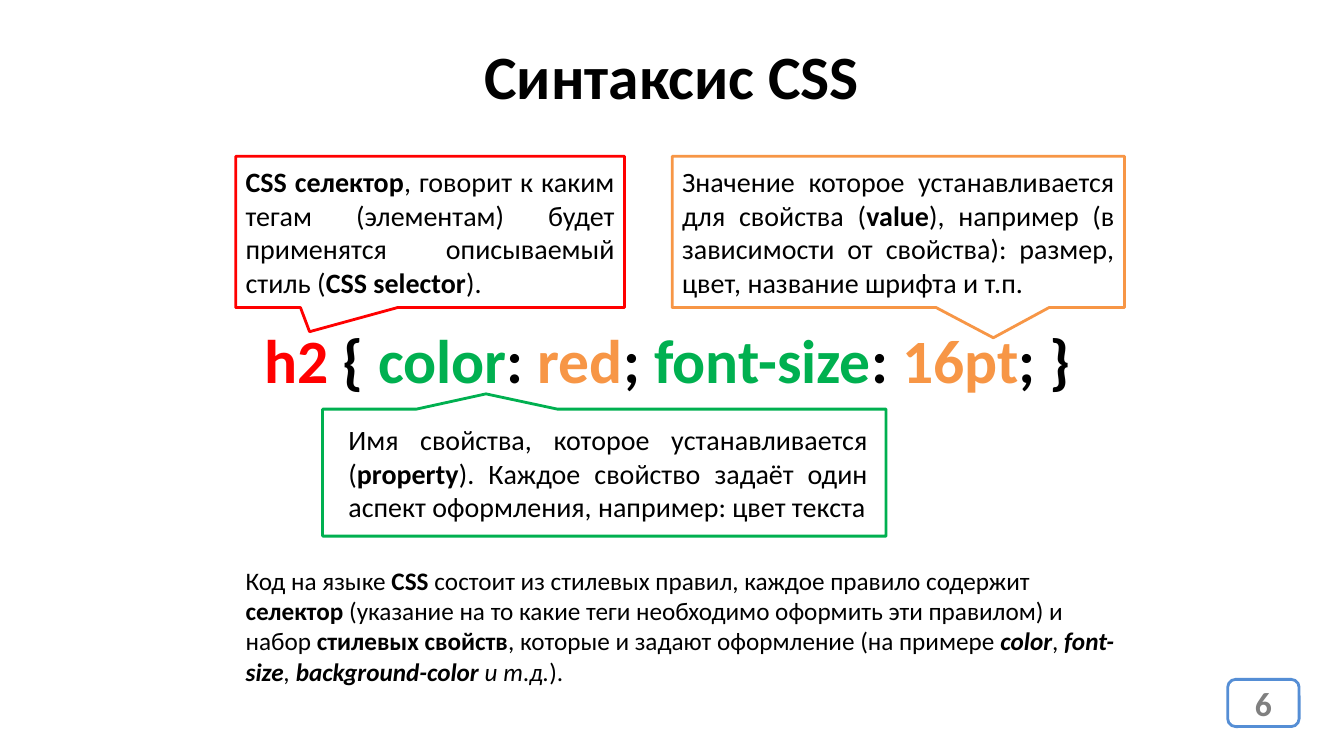
import pptx
import pptx.dml.color
import pptx.enum.shapes
import pptx.enum.text
import pptx.util

Cm = pptx.util.Cm
SHAPE = pptx.enum.shapes.MSO_SHAPE
ALIGN = pptx.enum.text.PP_ALIGN
ANCHOR = pptx.enum.text.MSO_ANCHOR
AUTO = pptx.enum.text.MSO_AUTO_SIZE

COLORS = {
    "text": "000000",
    "selector": "FF0000",
    "property": "00B050",
    "value": "F79646",
    "frame": "558ED5",
    "number": "808080",
    "paper": "FFFFFF",
}


class Deck:
    font = "Calibri"
    line_width = 2

    def __init__(self, width, height):
        self.prs = pptx.Presentation()
        self.prs.slide_width, self.prs.slide_height = Cm(width), Cm(height)
        self.s = None

    def color(self, name):
        return pptx.dml.color.RGBColor.from_string(COLORS[name])

    def add_slide(self):
        self.s = self.prs.slides.add_slide(self.prs.slide_layouts[5])

    def fill_text(self, sp, runs, size, align, anchor=ANCHOR.TOP, wrap=True, auto=AUTO.NONE):
        tf = sp.text_frame
        tf.word_wrap, tf.auto_size, tf.vertical_anchor = wrap, auto, anchor
        p = tf.paragraphs[0]
        p.alignment = align
        for text, style, color in runs:
            r = p.add_run()
            r.text = text
            r.font.name, r.font.size = self.font, pptx.util.Pt(size)
            r.font.bold, r.font.italic = "b" in style, "i" in style
            r.font.color.rgb = self.color(color)

    def title(self, box, text, size):
        sp = self.s.shapes.title
        sp.left, sp.top, sp.width, sp.height = map(Cm, box)
        self.fill_text(sp, [(text, "b", "text")], size, ALIGN.CENTER, auto=AUTO.SHAPE_TO_FIT_TEXT)

    def text(self, box, runs, size, align, wrap=True):
        sp = self.s.shapes.add_textbox(*map(Cm, box))
        self.fill_text(sp, runs, size, align, wrap=wrap, auto=AUTO.SHAPE_TO_FIT_TEXT)

    def shape(self, kind, box, line, fill=None):
        sp = self.s.shapes.add_shape(kind, *map(Cm, box))
        sp.shadow.inherit = False
        if fill:
            sp.fill.solid()
            sp.fill.fore_color.rgb = self.color(fill)
        else:
            sp.fill.background()
        sp.line.color.rgb = self.color(line)
        sp.line.width = pptx.util.Pt(self.line_width)
        return sp

    def callout(self, box, line, tip, runs=()):
        sp = self.shape(SHAPE.RECTANGULAR_CALLOUT, box, line)
        sp.adjustments[0], sp.adjustments[1] = tip
        if runs:
            self.fill_text(sp, runs, 20, ALIGN.JUSTIFY, ANCHOR.MIDDLE)

    def number(self, box, text):
        sp = self.shape(SHAPE.ROUNDED_RECTANGLE, box, "frame", "paper")
        self.fill_text(sp, [(text, "b", "number")], 24, ALIGN.CENTER, ANCHOR.MIDDLE)


def plain(*runs):
    return [(text, style, "text") for text, style in runs]


def main():
    deck = Deck(33.87, 19.05)
    deck.add_slide()
    deck.title((0, 0.84, 33.87, 2.13), "Синтаксис CSS", 44)
    deck.number((30.94, 17.12, 1.8, 1.19), "6")

    rule = [
        ("h2", "selector"), (" { ", "text"),
        ("color", "property"), (": ", "text"), ("red", "value"), ("; ", "text"),
        ("font-size", "property"), (": ", "text"), ("16pt", "value"), ("; }", "text"),
    ]
    deck.text((6.3, 7.98, 21.06, 2.13), [(text, "b", color) for text, color in rule],
              44, ALIGN.CENTER, wrap=False)

    deck.callout((5.94, 3.94, 9.8, 3.81), "selector", (-0.31, 0.66), plain(
        ("CSS селектор", "b"),
        (", говорит к каким тегам (элементам) будет применятся описываемый стиль (", ""),
        ("CSS selector", "b"),
        (").", ""),
    ))
    deck.callout((8.13, 10.31, 14.2, 3.2), "property", (-0.21, -0.62))
    deck.text((8.53, 10.52, 13.59, 2.82), plain(
        ("Имя свойства, которое устанавливается (", ""),
        ("property", "b"),
        ("). Каждое свойство задаёт один аспект оформления, например: цвет текста", ""),
    ), 20, ALIGN.JUSTIFY)
    deck.callout((16.94, 3.94, 11.4, 3.81), "value", (0.21, 0.7), plain(
        ("Значение которое устанавливается для свойства (", ""),
        ("value", "b"),
        ("), например (в зависимости от свойства): размер, цвет, название шрифта и т.п.", ""),
    ))

    deck.text((5.94, 14.12, 22.4, 3.33), plain(
        ("Код на языке ", ""),
        ("CSS ", "b"),
        ("состоит из стилевых правил, каждое правило содержит ", ""),
        ("селектор", "b"),
        (" (указание на то какие теги необходимо оформить эти правилом) и набор ", ""),
        ("стилевых свойств", "b"),
        (", которые и задают оформление (на примере ", ""),
        ("color", "bi"),
        (", ", ""),
        ("font-size", "bi"),
        (", ", "i"),
        ("background-color ", "bi"),
        ("и т.д.", "i"),
        (").", ""),
    ), 18, ALIGN.LEFT)
    deck.prs.save("out.pptx")


if __name__ == "__main__":
    main()
